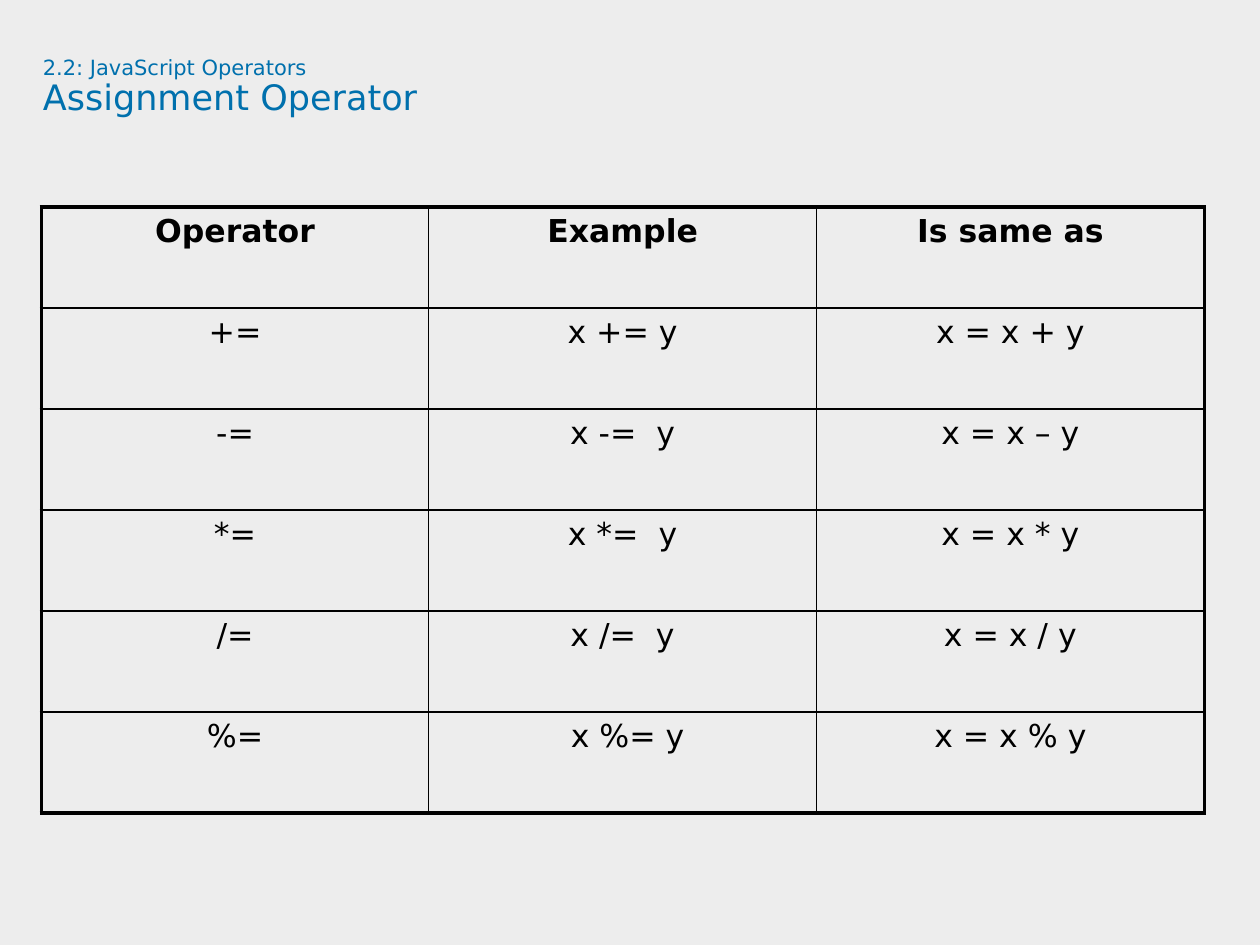
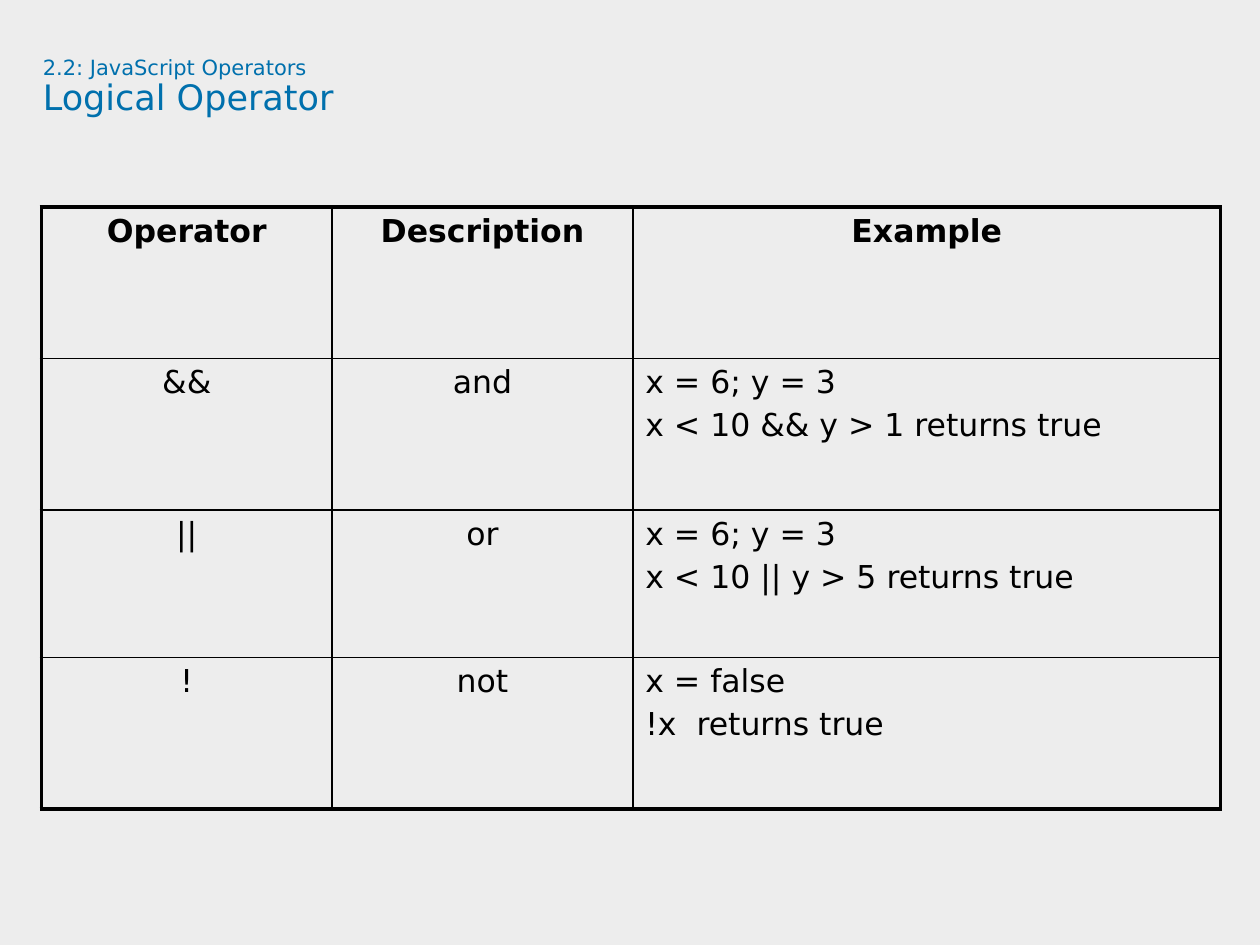
import pptx
import pptx.dml.color
import pptx.enum.text
import pptx.oxml
import pptx.oxml.ns
import pptx.util

Pt = pptx.util.Pt
ALIGN = pptx.enum.text.PP_ALIGN
BACKDROP = pptx.dml.color.RGBColor(0xED, 0xED, 0xED)
BLUE = pptx.dml.color.RGBColor(0x00, 0x70, 0xAD)
BLACK = pptx.dml.color.RGBColor(0x00, 0x00, 0x00)
FONT = "DejaVu Sans"
CHAPTER = "2.2: JavaScript Operators "
TABLE_LEFT, TABLE_TOP = 23.6, 118.2
THIN, THICK = 1, 2.25


def write(paragraph, text, size=18, color=BLACK, bold=False, align=ALIGN.LEFT):
    paragraph.alignment = align
    run = paragraph.add_run()
    run.text = text
    run.font.name = FONT
    run.font.size = Pt(size)
    run.font.bold = bold
    run.font.color.rgb = color


def draw_borders(cell, **widths):
    properties = cell._tc.get_or_add_tcPr()
    for position, (side, width) in enumerate(widths.items()):
        line = pptx.oxml.parse_xml(
            f'<a:ln{side} {pptx.oxml.ns.nsdecls("a")} w="{Pt(width)}">'
            f'<a:solidFill><a:srgbClr val="{BLACK}"/></a:solidFill></a:ln{side}>'
        )
        properties.insert(position, line)


topics = [
    {
        "heading": "Assignment Operator",
        "widths": [221.4, 221.6, 221.6],
        "heights": [57.72] * 6,
        "rows": [
            ["Operator", "Example", "Is same as"],
            ["+=", "x += y", "x = x + y"],
            ["-=", "x -=  y", "x = x – y"],
            ["*=", "x *=  y", "x = x * y"],
            ["/=", "x /=  y", "x = x / y"],
            ["%=", " x %= y", "x = x % y"],
        ],
    },
    {
        "heading": "Logical Operator",
        "widths": [166.2, 171.8, 336],
        "heights": [86.6, 86.6, 84.2, 86.6],
        "rows": [
            ["Operator", "Description", "Example"],
            ["&&", "and", "x = 6; y = 3\nx < 10 && y > 1 returns true"],
            ["||", "or", "x = 6; y = 3\nx < 10 || y > 5 returns true"],
            ["!", "not", "x = false\n!x  returns true"],
        ],
    },
]

deck = pptx.Presentation()
deck.slide_width, deck.slide_height = Pt(720), Pt(540)
deck.slide_master.background.fill.solid()
deck.slide_master.background.fill.fore_color.rgb = BACKDROP
title_only = deck.slide_layouts[5]

for topic in topics:
    slide = deck.slides.add_slide(title_only)

    title = slide.shapes.title
    title.left, title.top, title.width, title.height = Pt(24.5), Pt(33), Pt(654.5), Pt(67.5)
    frame = title.text_frame
    frame.margin_left = frame.margin_top = frame.margin_right = frame.margin_bottom = 0
    frame.word_wrap = True
    frame.auto_size = pptx.enum.text.MSO_AUTO_SIZE.NONE
    frame.vertical_anchor = pptx.enum.text.MSO_ANCHOR.TOP
    heading = frame.paragraphs[0]
    heading.line_spacing = 0.9
    write(heading, CHAPTER, size=12, color=BLUE)
    heading.add_line_break()
    write(heading, topic["heading"], size=20, color=BLUE)

    rows, widths, heights = topic["rows"], topic["widths"], topic["heights"]
    last_row, last_column = len(rows) - 1, len(widths) - 1
    operators = slide.shapes.add_table(
        len(rows), len(widths), Pt(TABLE_LEFT), Pt(TABLE_TOP), Pt(sum(widths)), Pt(sum(heights))
    ).table
    operators.first_row = operators.horz_banding = False
    for column, width in zip(operators.columns, widths):
        column.width = Pt(width)
    for row, height in zip(operators.rows, heights):
        row.height = Pt(height)

    for r, entries in enumerate(rows):
        for c, entry in enumerate(entries):
            cell = operators.cell(r, c)
            cell.fill.background()
            draw_borders(
                cell,
                L=THICK if c == 0 else THIN,
                R=THICK if c == last_column else THIN,
                T=THICK if r == 0 else THIN,
                B=THICK if r == last_row else THIN,
            )
            lines = entry.split("\n")
            align = ALIGN.CENTER if len(lines) == 1 else ALIGN.LEFT
            for n, line in enumerate(lines):
                paragraph = cell.text_frame.add_paragraph() if n else cell.text_frame.paragraphs[0]
                paragraph.space_before = Pt(3.6 if n else 0)
                write(paragraph, line, bold=r == 0, align=align)

deck.save("out.pptx")
